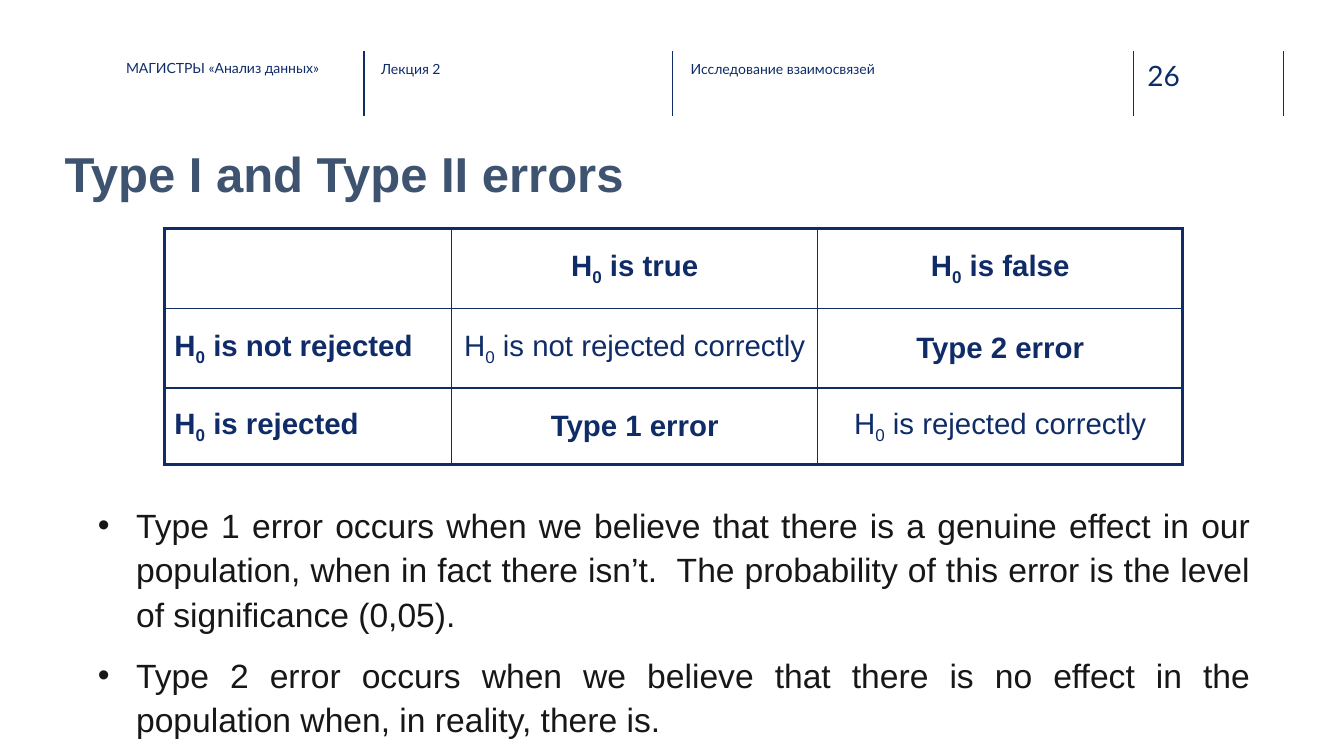
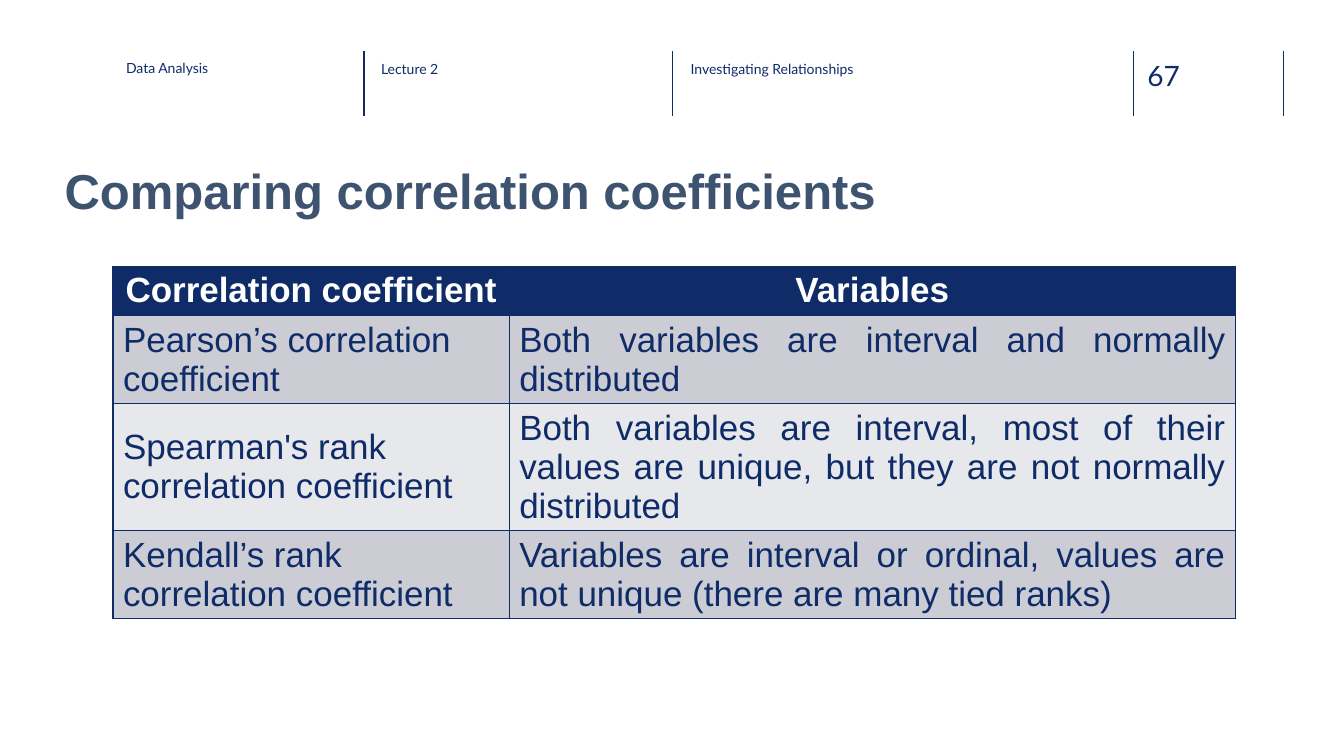
from dataclasses import dataclass
from lxml.etree import SubElement
from pptx import Presentation
from pptx.dml.color import RGBColor
from pptx.enum.shapes import MSO_CONNECTOR
from pptx.enum.text import MSO_ANCHOR, MSO_AUTO_SIZE, PP_ALIGN
from pptx.oxml import parse_xml
from pptx.oxml.ns import nsdecls, qn
from pptx.util import Inches, Pt


@dataclass(frozen=True)
class Theme:
    navy: str = "0F2C68"
    title: str = "3E5370"
    ink: str = "181717"
    white: str = "FFFFFF"
    band_dark: str = "CCCDD4"
    band_light: str = "E7E8EB"
    heading_font: str = "Arial"
    header_font: str = "Lato"
    header_size: int = 10
    number_size: int = 20
    title_size: int = 35
    body_size: int = 24
    errors_size: int = 21
    coefficients_size: int = 25
    thin: float = 1
    thick: float = 2.25


THEME = Theme()
LEFT, CENTER, JUSTIFY = PP_ALIGN.LEFT, PP_ALIGN.CENTER, PP_ALIGN.JUSTIFY

HEADER_RULES = (3.61, 6.67, 11.24, 12.73)
HEADER_BOXES = ((1.25, 0.59, 2.21), (3.78, 0.6, 2.26), (6.85, 0.6, 2.26))
NUMBER_BOX = (11.38, 0.58, 0.73)

ERRORS = {
    "header": ("МАГИСТРЫ «Анализ данных»", "Лекция 2", "Исследование взаимосвязей"),
    "number": "26",
    "title": "Type I and Type II errors",
    "title_top": 1.37,
    "rows": (
        ("", "H₀ is true", "H₀ is false"),
        ("H₀ is not rejected", "H₀ is not rejected correctly", "Type 2 error"),
        ("H₀ is rejected", "Type 1 error", "H₀ is rejected correctly"),
    ),
    "bullets": (
        "Type 1 error occurs when we believe that there is a genuine effect in our "
        "population, when in fact there isn’t.  The probability of this error is the "
        "level of significance (0,05).",
        "Type 2 error occurs when we believe that there is no effect in the "
        "population when, in reality, there is.",
    ),
}

COEFFICIENTS = {
    "header": ("Data Analysis", "Lecture 2", "Investigating Relationships"),
    "number": "67",
    "title": "Comparing correlation coefficients",
    "title_top": 1.53,
    "rows": (
        ("Correlation coefficient", "Variables"),
        ("Pearson’s correlation coefficient",
         "Both variables are interval and normally distributed"),
        ("Spearman's rank correlation coefficient",
         "Both variables are interval, most of their values are unique, "
         "but they are not normally distributed"),
        ("Kendall’s rank correlation coefficient",
         "Variables are interval or ordinal, values are not unique "
         "(there are many tied ranks)"),
    ),
}


def write_text(frame, *texts, size, color=THEME.navy, font=THEME.heading_font,
               bold=False, align=LEFT, line_spacing=1.0, space_before=0, indent=0):
    for index, text in enumerate(texts):
        paragraph = frame.add_paragraph() if index else frame.paragraphs[0]
        paragraph.alignment = align
        paragraph.line_spacing = line_spacing
        paragraph.space_before = Pt(space_before)
        if indent:
            properties = paragraph._p.get_or_add_pPr()
            properties.set("marL", str(Inches(indent)))
            properties.set("indent", str(-Inches(indent)))
            SubElement(properties, qn("a:buChar"), char="•")
        before, subscript, after = text.partition("₀")
        for part, lowered in ((before, False), ("0" if subscript else "", True), (after, False)):
            if not part:
                continue
            run = paragraph.add_run()
            run.text = part
            run.font.size = Pt(size)
            run.font.name = font
            run.font.bold = bold
            run.font.color.rgb = RGBColor.from_string(color)
            if lowered:
                run._r.get_or_add_rPr().set("baseline", "-25000")


def place(shape, left, top, width, height, bottom_inset=0):
    shape.left, shape.top = Inches(left), Inches(top)
    shape.width, shape.height = Inches(width), Inches(height)
    frame = shape.text_frame
    frame.word_wrap = True
    frame.auto_size = MSO_AUTO_SIZE.NONE
    frame.vertical_anchor = MSO_ANCHOR.TOP
    frame.margin_left = frame.margin_right = frame.margin_top = 0
    frame.margin_bottom = Inches(bottom_inset)
    return frame


def add_label(slide, text, left, top, width, height, size):
    shape = slide.shapes.add_textbox(0, 0, 0, 0)
    frame = place(shape, left, top, width, height)
    write_text(frame, text, size=size, font=THEME.header_font)


def start_slide(presentation, layout_index, content):
    slide = presentation.slides.add_slide(presentation.slide_layouts[layout_index])
    for x in HEADER_RULES:
        rule = slide.shapes.add_connector(
            MSO_CONNECTOR.STRAIGHT, Inches(x), Inches(0.51), Inches(x), Inches(1.15))
        rule.line.color.rgb = RGBColor.from_string(THEME.navy)
        rule.line.width = Pt(THEME.thin)
        SubElement(rule._element.spPr, qn("a:effectLst"))
    for text, box in zip(content["header"], HEADER_BOXES):
        add_label(slide, text, *box, 0.45, THEME.header_size)
    add_label(slide, content["number"], *NUMBER_BOX, 0.34, THEME.number_size)
    frame = place(slide.shapes.title, 0.64, content["title_top"], 12.09, 0.85)
    write_text(frame, content["title"], size=THEME.title_size, color=THEME.title,
               bold=True, line_spacing=1.1)
    return slide


def set_borders(cell, widths):
    properties = cell._tc.get_or_add_tcPr()
    for index, (side, width) in enumerate(zip("LRTB", widths)):
        properties.insert(index, parse_xml(
            f'<a:ln{side} {nsdecls("a")} w="{Pt(width)}"><a:solidFill>'
            f'<a:srgbClr val="{THEME.navy}"/></a:solidFill></a:ln{side}>'))


def add_grid(slide, rows, left, top, widths, heights, size, cell_format, outer):
    table = slide.shapes.add_table(
        len(rows), len(widths), Inches(left), Inches(top),
        Inches(sum(widths)), Inches(sum(heights))).table
    for column, width in zip(table.columns, widths):
        column.width = Inches(width)
    for table_row, height in zip(table.rows, heights):
        table_row.height = Inches(height)
    last_row, last_column = len(rows) - 1, len(widths) - 1
    for row, texts in enumerate(rows):
        for column, text in enumerate(texts):
            cell = table.cell(row, column)
            cell.vertical_anchor = MSO_ANCHOR.MIDDLE
            fill, text_format = cell_format(row, column, text)
            if fill:
                cell.fill.solid()
                cell.fill.fore_color.rgb = RGBColor.from_string(fill)
            else:
                cell.fill.background()
            write_text(cell.text_frame, text, size=size, **text_format)
            edges = (column == 0, column == last_column, row == 0, row == last_row)
            set_borders(cell, [outer if edge else THEME.thin for edge in edges])


def format_error_cell(row, column, text):
    return None, {"bold": not text.endswith("correctly"),
                  "align": CENTER if column else LEFT}


def format_coefficient_cell(row, column, text):
    if row == 0:
        return THEME.navy, {"bold": True, "align": CENTER, "color": THEME.white}
    fill = THEME.band_dark if row % 2 else THEME.band_light
    return fill, {"align": JUSTIFY if column else LEFT}


def build_errors(presentation):
    slide = start_slide(presentation, 1, ERRORS)
    add_grid(slide, ERRORS["rows"], 1.63, 2.27, (2.85, 3.63, 3.62), (0.79, 0.79, 0.76),
             THEME.errors_size, format_error_cell, THEME.thick)
    frame = place(slide.placeholders[1], 0.97, 4.97, 11.43, 2.26, bottom_inset=0.05)
    write_text(frame, *ERRORS["bullets"], size=THEME.body_size, color=THEME.ink,
               align=JUSTIFY, line_spacing=1.1, space_before=12, indent=0.38)


def build_coefficients(presentation):
    slide = start_slide(presentation, 5, COEFFICIENTS)
    add_grid(slide, COEFFICIENTS["rows"], 1.12, 2.64, (3.93, 7.2), (0.49, 0.87, 1.26, 0.87),
             THEME.coefficients_size, format_coefficient_cell, THEME.thin)


def main():
    presentation = Presentation()
    presentation.slide_width, presentation.slide_height = Inches(13.33), Inches(7.5)
    build_errors(presentation)
    build_coefficients(presentation)
    presentation.save("out.pptx")


if __name__ == "__main__":
    main()
